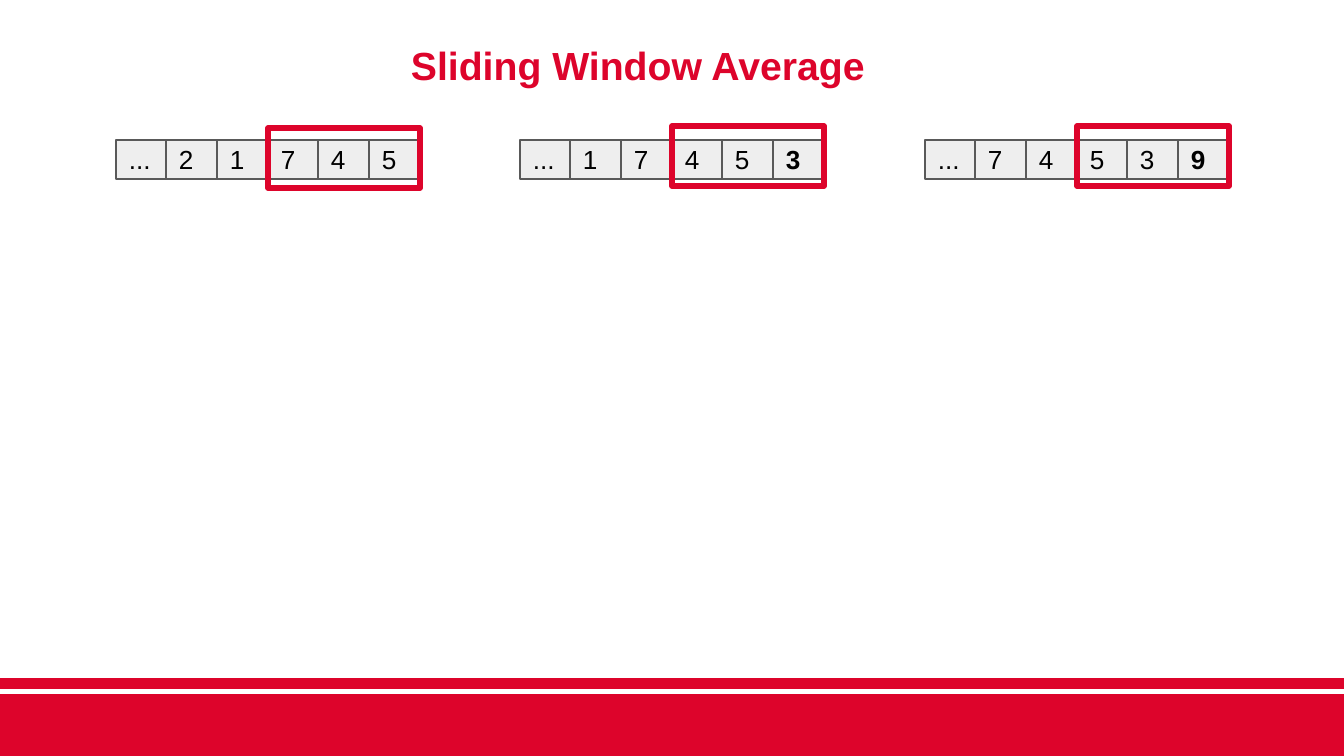
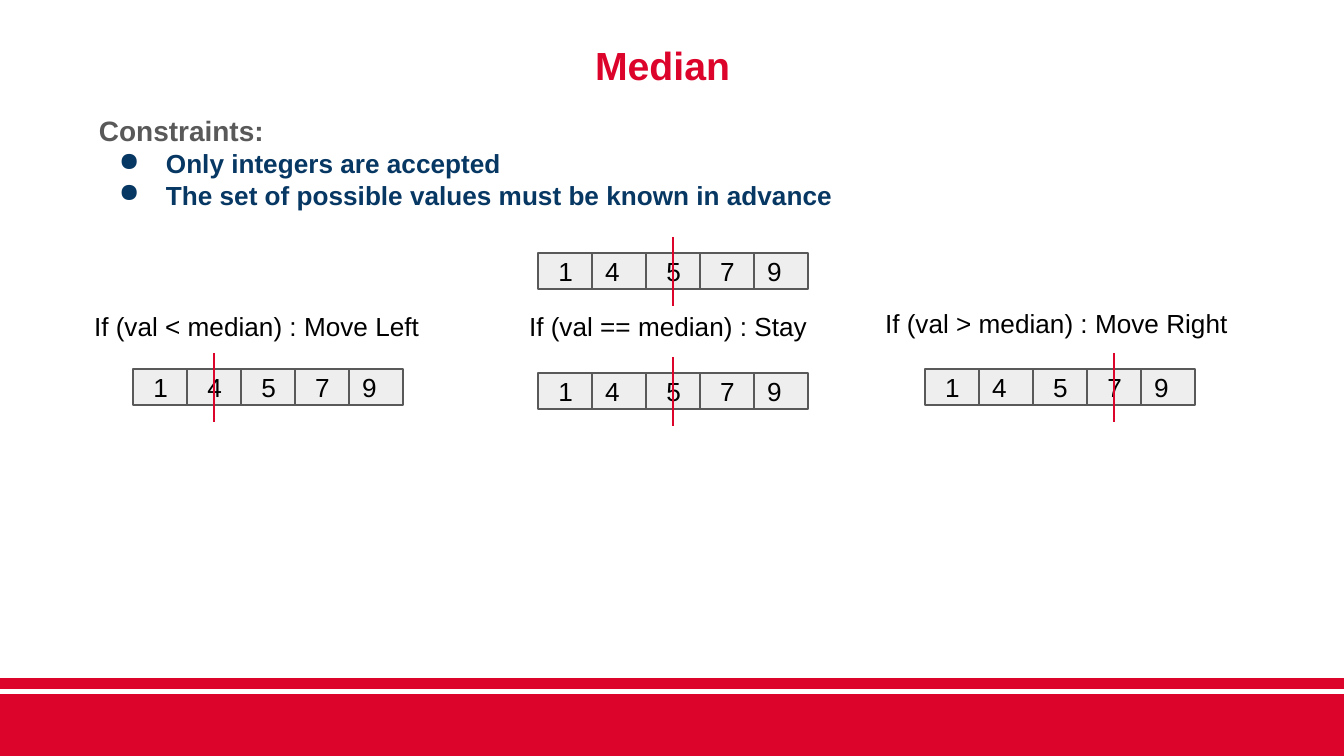
"""Build two slides on streaming statistics: sliding window average and median."""
from lxml.etree import SubElement
from pptx import Presentation
from pptx.dml.color import RGBColor
from pptx.enum.shapes import MSO_CONNECTOR, MSO_SHAPE
from pptx.enum.text import MSO_ANCHOR, PP_ALIGN
from pptx.oxml.ns import qn
from pptx.util import Pt

COLORS = {
    "red": "DD042B",
    "cell": "EEEEEE",
    "gray": "595959",
    "navy": "073763",
    "black": "000000",
}
EMU_PER_PX = 914400 / 134.4
INSET = 13


def write(frame, lines, anchor=MSO_ANCHOR.TOP):
    frame.word_wrap = True
    frame.vertical_anchor = anchor
    frame.margin_left = frame.margin_right = px(INSET)
    frame.margin_top = frame.margin_bottom = px(INSET)
    for index, (text, size, color, bold) in enumerate(lines):
        paragraph = frame.add_paragraph() if index else frame.paragraphs[0]
        paragraph.text = text
        paragraph.alignment = PP_ALIGN.LEFT
        paragraph.font.name = "Arial"
        paragraph.font.size = Pt(size)
        paragraph.font.bold = bold
        paragraph.font.color.rgb = RGBColor.from_string(COLORS[color])


def px(length):
    return round(length * EMU_PER_PX)


deck = Presentation()
deck.slide_width, deck.slide_height = px(1344), px(756)
average = deck.slides.add_slide(deck.slide_layouts[6])
median = deck.slides.add_slide(deck.slide_layouts[6])

boxes = []
labels = [
    (average, 398, 28, 547, 75, [("Sliding Window Average", 21, "red", True)]),
    (median, 582, 28, 181, 75, [("Median", 21, "red", True)]),
    (median, 86, 101, 801, 125, [
        ("Constraints:", 15, "gray", True),
        ("Only integers are accepted", 14, "navy", True),
        ("The set of possible values must be known in advance", 14, "navy", True),
    ]),
]

for slide in (average, median):
    boxes.append((slide, 0, 695, 1344, 61, "red", "red", 0.75, None))
    boxes.append((slide, 0, 679, 1344, 9, "red", "red", 0.75, None))

streams = [
    (116, 128, ["...", "2", "1", "7", "4", "5"], False),
    (520, 126, ["...", "1", "7", "4", "5", "3"], True),
    (925, 126, ["...", "7", "4", "5", "3", "9"], True),
]
for left, window_top, values, has_new_value in streams:
    for column, value in enumerate(values):
        content = (value, 14, "black", has_new_value and column == 5)
        boxes.append((average, left + column * 304 // 6, 140, 51, 39,
                      "cell", "gray", 0.75, content))
    boxes.append((average, left + 152, window_top, 152, 60, None, "red", 3, None))

sorted_rows = [
    (538, 253, 2, [" 1", "4", " 5", " 7", "9"]),
    (133, 369, 1, [" 1", " 4", " 5", " 7", "9"]),
    (538, 373, 2, [" 1", "4", " 5", " 7", "9"]),
    (925, 369, 3, [" 1", "4", " 5", " 7", "9"]),
]
for left, top, _, values in sorted_rows:
    for column, value in enumerate(values):
        boxes.append((median, left + column * 54, top, 54, 36,
                      "cell", "gray", 0.75, (value, 14, "black", False)))

rules = [
    (81, 297, 375, "If (val < median) : Move Left"),
    (516, 297, 310, "If (val == median) : Stay"),
    (872, 294, 375, "If (val > median) : Move Right"),
]
for left, top, width, rule in rules:
    labels.append((median, left, top, width, 59, [(rule, 14, "black", False)]))

for slide, left, top, width, height, fill, line, weight, content in boxes:
    box = slide.shapes.add_shape(
        MSO_SHAPE.RECTANGLE, px(left), px(top), px(width), px(height))
    box.shadow.inherit = False
    box.line.color.rgb = RGBColor.from_string(COLORS[line])
    box.line.width = Pt(weight)
    SubElement(box.line._get_or_add_ln(), qn("a:round"))
    if fill:
        box.fill.solid()
        box.fill.fore_color.rgb = RGBColor.from_string(COLORS[fill])
    else:
        box.fill.background()
    if content:
        write(box.text_frame, [content], MSO_ANCHOR.MIDDLE)

for left, top, position, _ in sorted_rows:
    center = left + position * 54 + 27
    marker = median.shapes.add_connector(
        MSO_CONNECTOR.STRAIGHT, px(center), px(top - 16), px(center), px(top + 53))
    marker.line.color.rgb = RGBColor.from_string(COLORS["red"])
    marker.line.width = Pt(0.75)
    SubElement(marker._element.spPr, qn("a:effectLst"))

for slide, left, top, width, height, lines in labels:
    label = slide.shapes.add_textbox(px(left), px(top), px(width), px(height))
    write(label.text_frame, lines)
    for paragraph in label.text_frame.paragraphs[1:]:
        properties = paragraph._p.get_or_add_pPr()
        properties.set("marL", str(px(67)))
        properties.set("indent", str(px(-47)))
        bullet = SubElement(properties, qn("a:buChar"), char="●")
        properties.insert(0, bullet)

deck.save("out.pptx")
